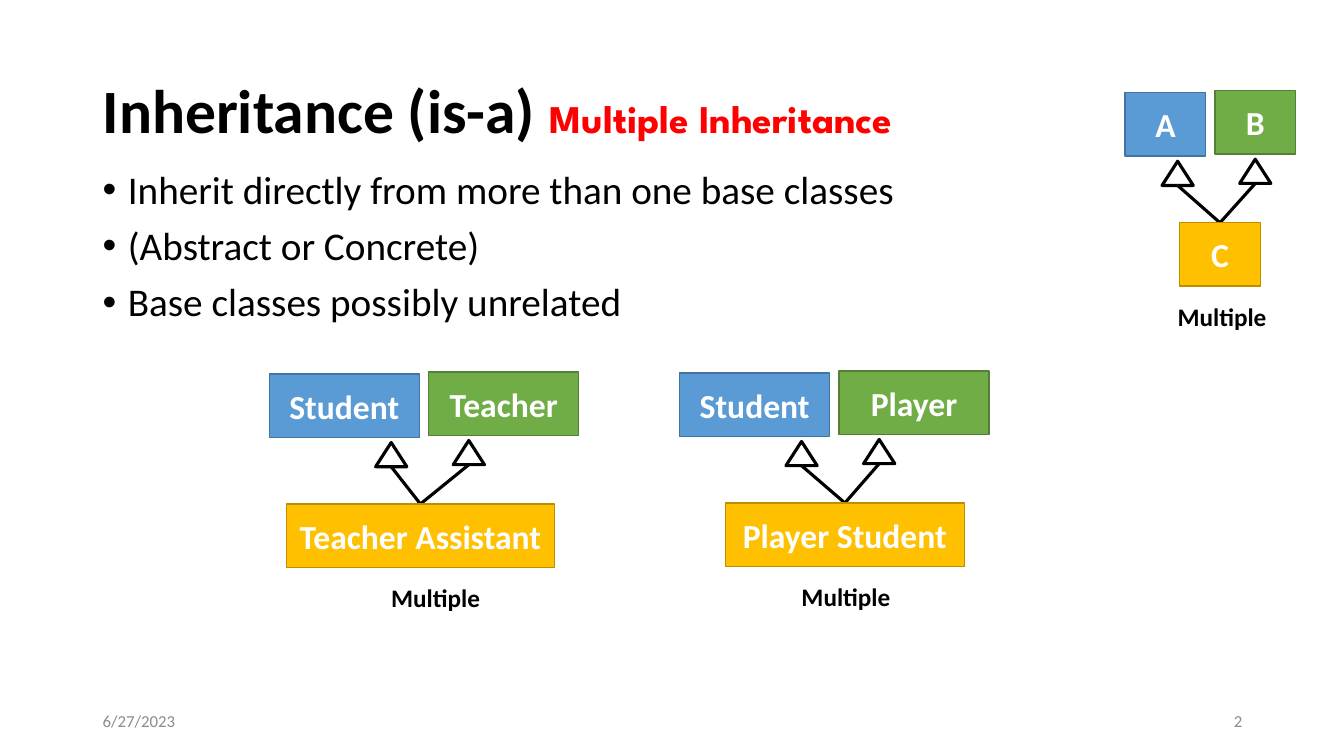
from dataclasses import dataclass

from lxml.etree import SubElement
from pptx import Presentation
from pptx.dml.color import RGBColor
from pptx.enum.shapes import MSO_CONNECTOR, MSO_SHAPE
from pptx.enum.text import MSO_ANCHOR, PP_ALIGN
from pptx.oxml.ns import qn
from pptx.util import Inches, Pt

COLORS = {
    "black": "000000", "white": "FFFFFF", "red": "FF0000", "gray": "8C8C8C",
    "blue": "5B9BD5", "blue_line": "43739E",
    "green": "70AD47", "green_line": "538035",
    "gold": "FFC000", "gold_line": "BD8E00",
}
BOX_H = 0.63
GAP = 0.09
STEP = 0.02
HEAD_W, HEAD_H = 0.31, 0.24
HEAD_TOP = 0.68
HEAD_MIDS = (-0.28, 0.49)
CHILD_TOP = 1.29
LABEL_MID, LABEL_TOP = 0.16, 2.02
LABEL_W, LABEL_H = 1.09, 0.4


@dataclass
class Diagram:
    left: float
    top: float
    parents: tuple[str, str]
    parent_w: float
    child: str
    child_w: float
    child_mid: float


DIAGRAMS = [
    Diagram(11.16, 0.92, ("A", "B"), 0.8, "C", 0.8, 12.1),
    Diagram(2.67, 3.71, ("Student", "Teacher"), 1.49, "Teacher Assistant", 2.66, 4.17),
    Diagram(6.74, 3.7, ("Student", "Player"), 1.49, "Player Student", 2.37, 8.38),
]


def rgb(name: str) -> RGBColor:
    return RGBColor.from_string(COLORS[name])


def add_run(p, text: str, *, size: float, color: str = "black",
            bold: bool = False, font: str = "Calibri") -> None:
    r = p.add_run()
    r.text = text
    r.font.size = Pt(size)
    r.font.bold = bold
    r.font.name = font
    r.font.color.rgb = rgb(color)


def add_text(shapes, x: float, y: float, w: float, h: float, *, wrap: bool = True,
             anchor=MSO_ANCHOR.MIDDLE):
    tf = shapes.add_textbox(Inches(x), Inches(y), Inches(w), Inches(h)).text_frame
    tf.word_wrap = wrap
    tf.vertical_anchor = anchor
    return tf


def add_bullet(p) -> None:
    p.line_spacing = 0.9
    p.space_before = Pt(10)
    pPr = p._p.get_or_add_pPr()
    pPr.set("marL", str(Inches(0.25)))
    pPr.set("indent", str(-Inches(0.25)))
    SubElement(pPr, qn("a:buFont")).set("typeface", "Arial")
    SubElement(pPr, qn("a:buChar")).set("char", "•")


def add_figure(shapes, kind, x: float, y: float, w: float, h: float, *,
               fill: str, line: str, weight: float):
    sp = shapes.add_shape(kind, Inches(x), Inches(y), Inches(w), Inches(h))
    sp.shadow.inherit = False
    sp.fill.solid()
    sp.fill.fore_color.rgb = rgb(fill)
    sp.line.color.rgb = rgb(line)
    sp.line.width = Pt(weight)
    return sp


def add_box(shapes, text: str, x: float, y: float, w: float, color: str) -> None:
    sp = add_figure(shapes, MSO_SHAPE.RECTANGLE, x, y, w, BOX_H,
                    fill=color, line=f"{color}_line", weight=1)
    tf = sp.text_frame
    tf.vertical_anchor = MSO_ANCHOR.MIDDLE
    p = tf.paragraphs[0]
    p.alignment = PP_ALIGN.CENTER
    add_run(p, text, size=24, color="white", bold=True)


def add_line(shapes, x1: float, y1: float, x2: float, y2: float) -> None:
    line = shapes.add_connector(MSO_CONNECTOR.STRAIGHT, Inches(x1), Inches(y1),
                                Inches(x2), Inches(y2))
    line.line.color.rgb = rgb("black")
    line.line.width = Pt(2.25)
    SubElement(line._element.spPr, qn("a:effectLst"))


def add_diagram(s, d: Diagram) -> None:
    shapes = s.shapes.add_group_shape().shapes
    seam = d.left + d.parent_w
    child_top = d.top + CHILD_TOP
    for i, (name, color) in enumerate(zip(d.parents, ("blue", "green"))):
        top = d.top - i * STEP
        add_box(shapes, name, d.left + i * (d.parent_w + GAP), top, d.parent_w, color)
        mid = seam + HEAD_MIDS[i]
        head_top = top + HEAD_TOP
        add_figure(shapes, MSO_SHAPE.ISOSCELES_TRIANGLE, mid - HEAD_W / 2, head_top,
                   HEAD_W, HEAD_H, fill="white", line="black", weight=2.25)
        add_line(shapes, mid, head_top + HEAD_H, d.child_mid, child_top)
    add_box(shapes, d.child, d.child_mid - d.child_w / 2, child_top, d.child_w, "gold")
    tf = add_text(shapes, seam + LABEL_MID - LABEL_W / 2, d.top + LABEL_TOP,
                  LABEL_W, LABEL_H, wrap=False, anchor=MSO_ANCHOR.TOP)
    p = tf.paragraphs[0]
    p.alignment = PP_ALIGN.CENTER
    add_run(p, "Multiple", size=18, bold=True)


prs = Presentation()
prs.slide_width, prs.slide_height = Inches(13.33), Inches(7.5)
s = prs.slides.add_slide(prs.slide_layouts[6])

tf = add_text(s.shapes, 0.92, 1.64, 10.87, 4.76, anchor=MSO_ANCHOR.TOP)
BULLETS = ["Inherit directly from more than one base classes",
           "(Abstract or Concrete)", "Base classes possibly unrelated"]
for i, text in enumerate(BULLETS):
    p = tf.add_paragraph() if i else tf.paragraphs[0]
    add_bullet(p)
    add_run(p, text, size=28)

for text, x, align in [("6/27/2023", 0.92, PP_ALIGN.LEFT), ("2", 9.42, PP_ALIGN.RIGHT)]:
    p = add_text(s.shapes, x, 6.95, 3, 0.4).paragraphs[0]
    p.alignment = align
    add_run(p, text, size=12, color="gray")

p = add_text(s.shapes, 0.92, 0.4, 11.5, 1.45).paragraphs[0]
p.line_spacing = 0.9
add_run(p, "Inheritance (is-a) ", size=44, bold=True)
add_run(p, "Multiple Inheritance", size=28, color="red", bold=True, font="League Spartan")

for d in DIAGRAMS:
    add_diagram(s, d)

prs.save("out.pptx")
